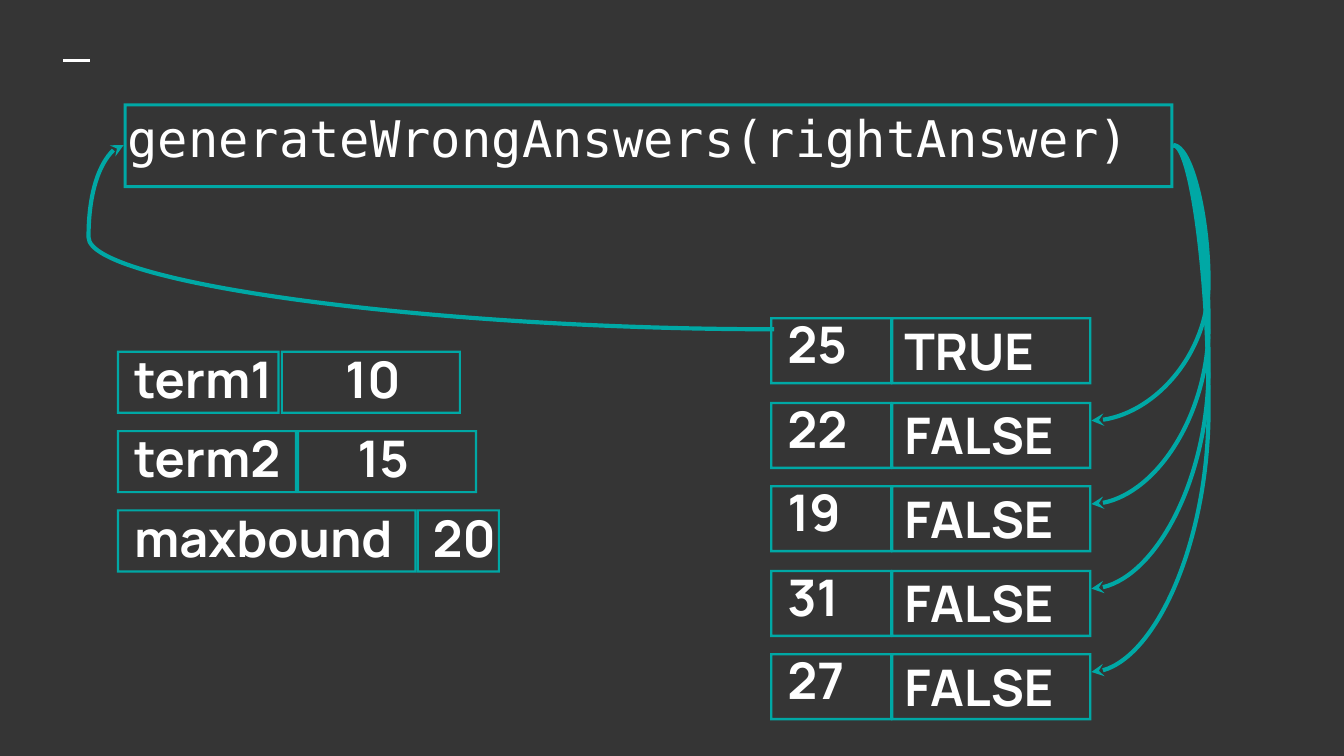
from dataclasses import dataclass

from lxml import etree
from pptx import Presentation
from pptx import util as u
from pptx.dml.color import RGBColor
from pptx.enum import shapes, text
from pptx.oxml.ns import qn

PX = 9144  # 100 px to the inch
BACKGROUND = RGBColor(0x35, 0x35, 0x35)
TEAL = RGBColor(0x00, 0xA8, 0xA5)
WHITE = RGBColor(0xFF, 0xFF, 0xFF)
BODY_FONT = "Manrope"
CODE_FONT = "DejaVu Sans Mono"


@dataclass(frozen=True)
class Box:
    left: int
    top: int
    width: int
    height: int

    def emu(self) -> tuple[int, ...]:
        return tuple(n * PX for n in (self.left, self.top, self.width, self.height))


@dataclass(frozen=True)
class Variable:
    name: str
    value: str
    name_width: int
    value_left: int
    value_width: int
    value_text_left: int


@dataclass(frozen=True)
class Answer:
    number: str
    correct: str


VARIABLES = [
    Variable("term1", "10", 121, 209, 134, 247),
    Variable("term2", "15", 134, 221, 134, 256),
    Variable("maxbound", "20", 223, 310, 62, 312),
]
ANSWERS = [
    Answer("25", "TRUE"),
    Answer("22", "FALSE"),
    Answer("19", "FALSE"),
    Answer("31", "FALSE"),
    Answer("27", "FALSE"),
]
CALL = Box(92, 77, 781, 63)
CALL_MIDDLE = 108
VARIABLE_TOP, VARIABLE_PITCH = 261, 59
ANSWER_TOP = 236
ANSWER_RIGHT = 812


def answer_top(index: int) -> int:
    """Rows are 62.5 px apart, rounded up to whole px."""
    return ANSWER_TOP + (125 * index + 1) // 2


def add_frame(slide, box: Box) -> None:
    shape = slide.shapes.add_shape(shapes.MSO_SHAPE.FRAME, *box.emu())
    shape.adjustments[0] = 0.034
    shape.shadow.inherit = False
    shape.fill.solid()
    shape.fill.fore_color.rgb = TEAL
    shape.line.fill.background()


def add_text(slide, content: str, box: Box, *, font: str = BODY_FONT,
             bold: bool = True) -> None:
    frame = slide.shapes.add_textbox(*box.emu()).text_frame
    frame.word_wrap = True
    frame.vertical_anchor = text.MSO_ANCHOR.TOP
    frame.margin_left = frame.margin_right = 10 * PX
    frame.margin_top = frame.margin_bottom = 10 * PX
    run = frame.paragraphs[0].add_run()
    run.text = content
    run.font.name = font
    run.font.size = u.Pt(27)
    run.font.bold = bold
    run.font.color.rgb = WHITE


def add_line(slide, kind, box: Box, color: RGBColor, width: float):
    left, top, box_width, box_height = box.emu()
    connector = slide.shapes.add_connector(
        kind, left, top, left + box_width, top + box_height)
    connector.line.color.rgb = color
    connector.line.width = u.Pt(width)
    etree.SubElement(connector._element.spPr, qn("a:effectLst"))
    return connector


def add_curve(slide, box: Box, bend: float, arrow_end: str, *,
              flipped: bool = False) -> None:
    """Draw a half-turned curve whose bend lies outside its box."""
    connector = add_line(slide, shapes.MSO_CONNECTOR.CURVE, box, TEAL, 2.25)
    properties = connector._element.spPr
    transform = properties.find(qn("a:xfrm"))
    transform.set("rot", "10800000")
    if flipped:
        transform.set("flipH", "1")
    geometry = properties.find(qn("a:prstGeom"))
    guides = geometry.find(qn("a:avLst"))
    if guides is None:
        guides = etree.SubElement(geometry, qn("a:avLst"))
    etree.SubElement(guides, qn("a:gd"), name="adj1",
                     fmla=f"val {round(bend * 100000)}")
    etree.SubElement(properties.find(qn("a:ln")), qn(f"a:{arrow_end}"),
                     type="stealth")


def add_variable(slide, variable: Variable, top: int) -> None:
    text_top = top - 12
    add_frame(slide, Box(87, top, variable.name_width, 47))
    add_text(slide, variable.name, Box(90, text_top, max(132, variable.name_width), 40))
    add_frame(slide, Box(variable.value_left, top, variable.value_width, 47))
    add_text(slide, variable.value, Box(variable.value_text_left, text_top, 82, 40))


def add_answer(slide, answer: Answer, top: int) -> None:
    add_frame(slide, Box(573, top, 91, 50))
    add_text(slide, answer.number, Box(576, top - 13, 189, 43))
    add_frame(slide, Box(663, top, 149, 50))
    add_text(slide, answer.correct, Box(663, top - 8, 149, 43))


def main() -> None:
    presentation = Presentation()
    presentation.slide_width = 1000 * PX
    presentation.slide_height = u.Inches(5.625)
    slide = presentation.slides.add_slide(presentation.slide_layouts[6])
    slide.background.fill.solid()
    slide.background.fill.fore_color.rgb = BACKGROUND

    # Dash in the corner
    add_line(slide, shapes.MSO_CONNECTOR.STRAIGHT, Box(47, 45, 20, 0), WHITE, 1.5)

    # Function call
    add_text(slide, "generateWrongAnswers(rightAnswer)", Box(85, 70, 806, 26),
             font=CODE_FONT, bold=False)
    add_frame(slide, CALL)

    # Variables and answers
    for index, variable in enumerate(VARIABLES):
        add_variable(slide, variable, VARIABLE_TOP + VARIABLE_PITCH * index)
    for index, answer in enumerate(ANSWERS):
        add_answer(slide, answer, answer_top(index))

    # Right answer goes into the call
    add_curve(slide, Box(CALL.left, CALL_MIDDLE, 484, 137), 1.054, "tailEnd")

    # Wrong answers come out of it
    for index in range(1, len(ANSWERS)):
        height = answer_top(index) + 14 - CALL_MIDDLE
        width = CALL.left + CALL.width - ANSWER_RIGHT
        add_curve(slide, Box(ANSWER_RIGHT, CALL_MIDDLE, width, height), 1.43,
                  "headEnd", flipped=True)

    presentation.save("out.pptx")


if __name__ == "__main__":
    main()
